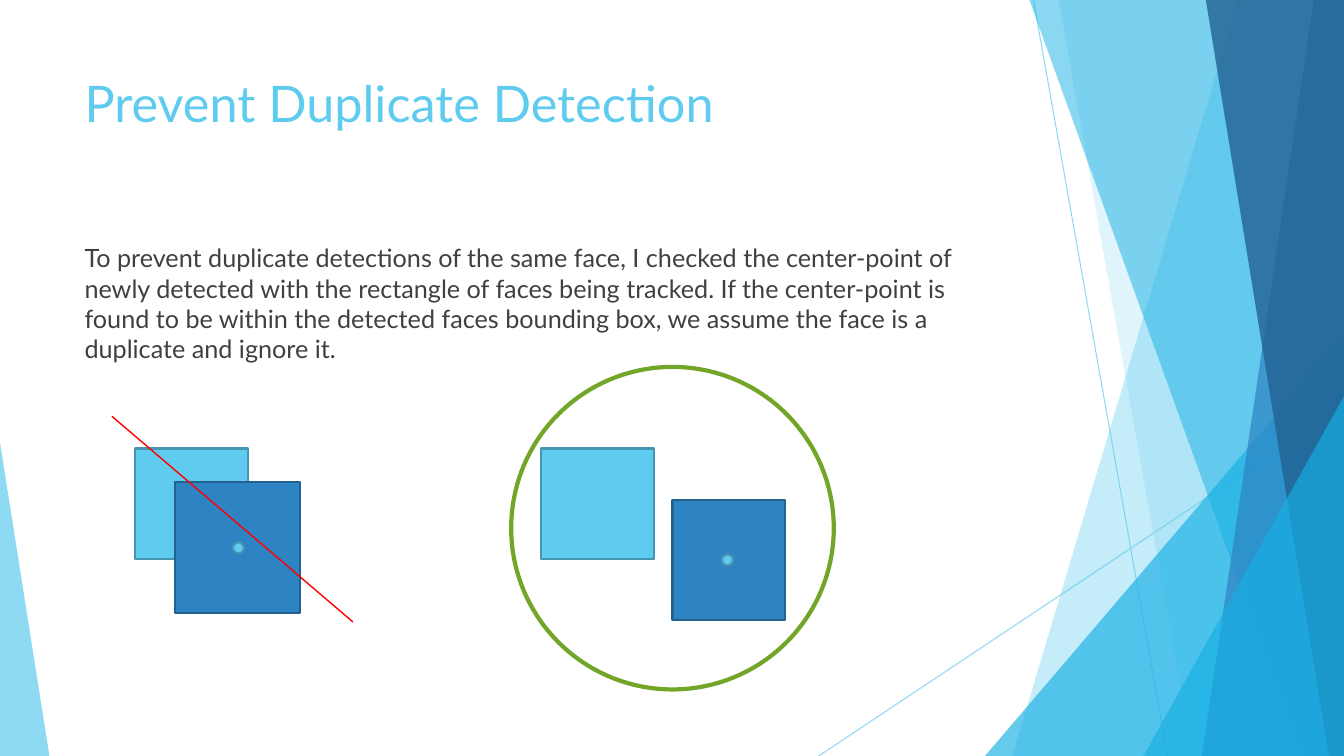
from lxml import etree
from pptx import Presentation
from pptx.dml.color import RGBColor
from pptx.enum.shapes import MSO_CONNECTOR, MSO_SHAPE
from pptx.enum.text import MSO_ANCHOR, PP_ALIGN
from pptx.oxml.ns import qn
from pptx.util import Inches, Pt

WIDTH, HEIGHT = 13.33, 7.5
FONT = "Lato"
SKY = RGBColor(0x5F, 0xCB, 0xEF)
SKY_EDGE = RGBColor(0x46, 0x96, 0xB1)
CYAN = RGBColor(0x17, 0xB0, 0xE4)
BLUE = RGBColor(0x2E, 0x83, 0xC3)
BLUE_EDGE = RGBColor(0x22, 0x61, 0x90)
NAVY = RGBColor(0x22, 0x62, 0x92)
GREEN = RGBColor(0x72, 0xA5, 0x28)
RED = RGBColor(0xFF, 0x00, 0x00)
GRAY = RGBColor(0x40, 0x40, 0x40)

TITLE = "Prevent Duplicate Detection"
EXPLANATION = (
    "To prevent duplicate detections of the same face, I checked the center-point of "
    "newly detected with the rectangle of faces being tracked. If the center-point is "
    "found to be within the detected faces bounding box, we assume the face is a "
    "duplicate and ignore it."
)


def set_opacity(shape, percent):
    """Add an alpha value to the only solid colour of a facet or line."""
    color = next(shape._element.spPr.iter(qn("a:srgbClr")))
    etree.SubElement(color, qn("a:alpha")).set("val", str(percent * 1000))


def style_facet(shape, color, opacity):
    shape.shadow.inherit = False
    shape.fill.solid()
    shape.fill.fore_color.rgb = color
    set_opacity(shape, opacity)
    shape.line.fill.background()


def add_band(page, top_left, bottom_left, color, opacity):
    """Fill from a slanted left edge to the right side of the slide."""
    builder = page.shapes.build_freeform(Inches(top_left), 0)
    corners = [(WIDTH, 0), (WIDTH, HEIGHT), (bottom_left, HEIGHT)]
    builder.add_line_segments([(Inches(x), Inches(y)) for x, y in corners])
    style_facet(builder.convert_to_shape(), color, opacity)


def add_corner(page, left, top, width, apex, color, opacity):
    """Place a triangle on the bottom edge, its apex at 0 (left) or 1 (right)."""
    corner = page.shapes.add_shape(
        MSO_SHAPE.ISOSCELES_TRIANGLE,
        Inches(left), Inches(top), Inches(width), Inches(HEIGHT - top))
    corner.adjustments[0] = apex
    style_facet(corner, color, opacity)


def add_line(page, start, end, color, weight, opacity=100):
    line = page.shapes.add_connector(
        MSO_CONNECTOR.STRAIGHT, *(Inches(value) for value in (*start, *end)))
    line.line.color.rgb = color
    line.line.width = Pt(weight)
    if opacity < 100:
        set_opacity(line, opacity)
    etree.SubElement(line._element.spPr, qn("a:effectLst"))


def add_figure(page, kind, place, fill, edge, weight=1.5):
    figure = page.shapes.add_shape(kind, *(Inches(value) for value in place))
    figure.shadow.inherit = False
    if fill is None:
        figure.fill.background()
    else:
        figure.fill.solid()
        figure.fill.fore_color.rgb = fill
    figure.line.color.rgb = edge
    figure.line.width = Pt(weight)


def add_face_pair(page, tracked, detected, center_point):
    """Draw a tracked face, a newly detected face and its center-point."""
    add_figure(page, MSO_SHAPE.RECTANGLE, tracked, SKY, SKY_EDGE)
    add_figure(page, MSO_SHAPE.RECTANGLE, detected, BLUE, BLUE_EDGE)
    add_figure(page, MSO_SHAPE.OVAL, (*center_point, 0.11, 0.11), SKY, SKY_EDGE)


def add_text(page, text, top, height, size, color):
    box = page.shapes.add_textbox(Inches(0.74), Inches(top), Inches(9.4), Inches(height))
    frame = box.text_frame
    frame.word_wrap = True
    frame.vertical_anchor = MSO_ANCHOR.TOP
    frame.text = text
    paragraph = frame.paragraphs[0]
    paragraph.alignment = PP_ALIGN.LEFT
    font = paragraph.runs[0].font
    font.name = FONT
    font.size = Pt(size)
    font.color.rgb = color


def add_backdrop(page):
    add_line(page, (10.25, 0), (11.58, HEIGHT), SKY, 0.75, 70)
    add_line(page, (WIDTH, 4.03), (8.12, HEIGHT), SKY, 0.75, 70)
    add_band(page, 12.28, 10.04, SKY, 36)
    add_band(page, 10.5, 11.83, SKY, 20)
    add_corner(page, 9.77, 3.33, 3.56, 1, CYAN, 66)
    add_band(page, 10.21, 12.91, CYAN, 50)
    add_band(page, 13.03, 11.92, BLUE, 70)
    add_band(page, 11.96, 13.18, NAVY, 80)
    add_corner(page, 11.34, 3.93, 1.99, 1, CYAN, 66)
    add_corner(page, 0, 4.39, 0.49, 0, SKY, 70)


def main():
    deck = Presentation()
    deck.slide_width, deck.slide_height = Inches(WIDTH), Inches(HEIGHT)
    page = deck.slides.add_slide(deck.slide_layouts[6])

    add_backdrop(page)
    add_text(page, TITLE, 0.67, 1.44, 36, SKY)
    add_text(page, EXPLANATION, 2.36, 4.24, 18, GRAY)

    add_face_pair(page, (1.34, 4.45, 1.12, 1.1), (1.74, 4.78, 1.24, 1.3), (2.31, 5.38))
    add_line(page, (1.11, 4.13), (3.5, 6.17), RED, 1)

    add_face_pair(page, (5.37, 4.45, 1.12, 1.1), (6.67, 4.96, 1.12, 1.19), (7.16, 5.5))
    add_figure(page, MSO_SHAPE.OVAL, (5.07, 3.64, 3.2, 3.2), None, GREEN, 3)

    deck.save("out.pptx")


if __name__ == "__main__":
    main()
